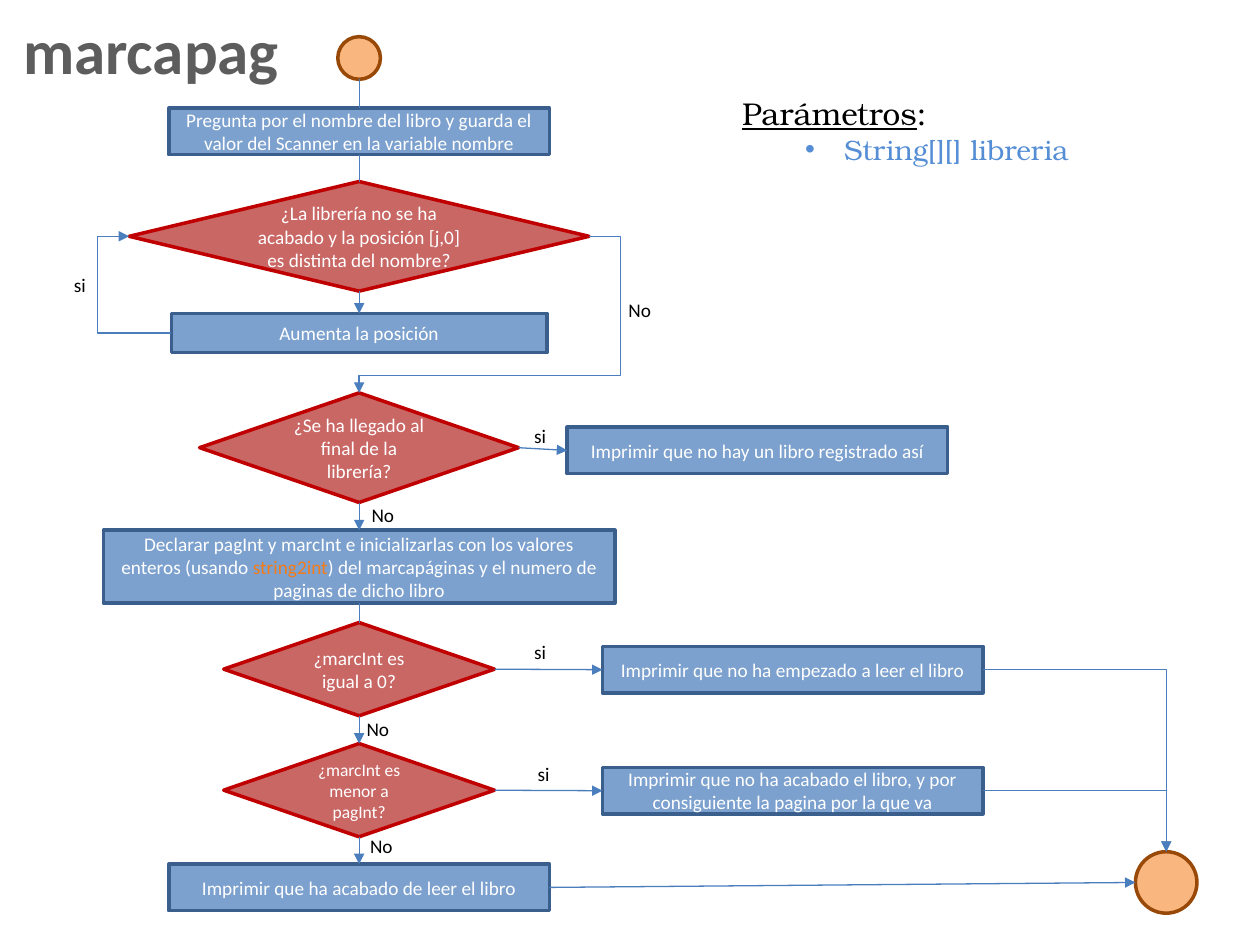
import pptx
import pptx.dml.color
import pptx.enum.shapes
import pptx.enum.text
import pptx.util
from lxml import etree
from pptx.oxml.ns import qn

Cm = pptx.util.Cm
Pt = pptx.util.Pt
Kind = pptx.enum.shapes.MSO_SHAPE
Wire = pptx.enum.shapes.MSO_CONNECTOR
Align = pptx.enum.text.PP_ALIGN
Anchor = pptx.enum.text.MSO_ANCHOR

STEP = (Kind.FLOWCHART_PROCESS, "7CA1CE", "3A5F8C")
TEST = (Kind.FLOWCHART_DECISION, "C96765", "C00000")
DOT = (Kind.FLOWCHART_CONNECTOR, "F9B67F", "984807")
TOP, LEFT, BOTTOM, RIGHT = range(4)


def tint(code):
    return pptx.dml.color.RGBColor.from_string(code)


def write(par, parts, size, face="Calibri"):
    """Fill a paragraph with (text, colour) parts."""
    for text, color in parts:
        run = par.add_run()
        run.text = text
        run.font.size = Pt(size)
        run.font.name = face
        run.font.color.rgb = tint(color)


def node(slide, style, mid, top, width, height, parts=(), size=11):
    """Draw a flow shape centred on mid."""
    kind, fill, edge = style
    shape = slide.shapes.add_shape(
        kind, Cm(mid - width / 2), Cm(top), Cm(width), Cm(height))
    shape.shadow.inherit = False
    shape.fill.solid()
    shape.fill.fore_color.rgb = tint(fill)
    shape.line.color.rgb = tint(edge)
    shape.line.width = Pt(2)
    frame = shape.text_frame
    frame.word_wrap = True
    frame.vertical_anchor = Anchor.MIDDLE
    par = frame.paragraphs[0]
    par.alignment = Align.CENTER
    if isinstance(parts, str):
        parts = [(parts, "FFFFFF")]
    write(par, parts, size)
    return shape


def spot(shape, side):
    """Return the middle of one side of a shape."""
    x = shape.left + {LEFT: 0, RIGHT: shape.width}.get(side, shape.width // 2)
    y = shape.top + {TOP: 0, BOTTOM: shape.height}.get(side, shape.height // 2)
    return x, y


def join(slide, start, out, end, into, arrow=True, bend=None, turns=()):
    """Link two shapes; bend is the elbow preset and turns its adjustments."""
    wire = slide.shapes.add_connector(
        Wire.ELBOW if bend else Wire.STRAIGHT,
        *spot(start, out), *spot(end, into))
    wire.line.color.rgb = tint("4B7EBC")
    wire.line.width = Pt(0.75)
    props = wire._element.spPr
    if bend:
        shape = props.find(qn("a:prstGeom"))
        shape.set("prst", bend)
        guides = shape.find(qn("a:avLst"))
        if guides is None:
            guides = etree.SubElement(shape, qn("a:avLst"))
        for i, turn in enumerate(turns, 1):
            etree.SubElement(guides, qn("a:gd"), name=f"adj{i}" if len(turns) > 1
                             else "adj1", fmla=f"val {turn}")
    elif DOT[0] not in (start.auto_shape_type, end.auto_shape_type):
        wire.begin_connect(start, out)
        wire.end_connect(end, into)
    if arrow:
        etree.SubElement(wire.line._get_or_add_ln(), qn("a:tailEnd"), type="triangle")
    etree.SubElement(props, qn("a:effectLst"))


def label(slide, text, left, top):
    box = slide.shapes.add_textbox(Cm(left), Cm(top), Cm(1.12), Cm(0.74))
    box.text_frame.word_wrap = True
    write(box.text_frame.paragraphs[0], [(text, "000000")], 11)


def heading(slide, left, top, width, height):
    title = slide.shapes.title
    title.left, title.top = Cm(left), Cm(top)
    title.width, title.height = Cm(width), Cm(height)
    frame = title.text_frame
    frame.vertical_anchor = Anchor.TOP
    par = frame.paragraphs[0]
    par.alignment = Align.CENTER
    write(par, [("marcapag", "5D5D5D")], 36)
    par.runs[0].font.bold = True


def params(slide, left, top, width, height):
    box = slide.shapes.add_textbox(Cm(left), Cm(top), Cm(width), Cm(height))
    frame = box.text_frame
    frame.word_wrap = False
    face = "TeX Gyre Bonum"
    head = frame.paragraphs[0]
    write(head, [("Parámetros", "000000"), (":", "000000")], 18, face)
    head.runs[0].font.underline = True
    item = frame.add_paragraph()
    item.level = 1
    props = item._p.get_or_add_pPr()
    props.set("marL", str(Cm(2.06)))
    props.set("indent", str(Cm(-0.79)))
    etree.SubElement(props, qn("a:buFont"), typeface="Arial")
    etree.SubElement(props, qn("a:buChar"), char="•")
    write(item, [("String[][] libreria", "558ED5")], 16, face)


def flow(slide, left, top):
    """Draw the flowchart with its corner at left, top."""
    def put(style, mid, y, *rest):
        return node(slide, style, left + mid, top + y, *rest)

    def link(*ends, **look):
        join(slide, *ends, **look)

    spine = 6
    wide = (7.67, 0.94)
    start = put(DOT, spine, 0, 0.86, 0.86)
    ask = put(STEP, spine, 1.44, *wide,
              "Pregunta por el nombre del libro y guarda el valor del Scanner "
              "en la variable nombre")
    loop = put(TEST, spine, 2.92, 9.27, 2.21,
               "¿La librería no se ha acabado y la posición [j,0] es distinta "
               "del nombre?")
    step = put(STEP, spine, 5.58, 7.57, 0.79, "Aumenta la posición")
    last = put(TEST, spine, 7.18, 6.43, 2.21,
               "¿Se ha llegado al final de la librería?")
    none = put(STEP, 14.03, 7.87, *wide,
               "Imprimir que no hay un libro registrado así")
    parse_int = put(STEP, spine, 9.95, 10.31, 1.47, [
        ("Declarar pagInt y marcInt e inicializarlas con los valores enteros "
         "(usando ", "FFFFFF"),
        ("string2int", "F57B17"),
        (") del marcapáginas y el numero de paginas de dicho libro", "FFFFFF")])
    zero = put(TEST, spine, 11.81, 5.46, 1.88, "¿marcInt es igual a 0?")
    fresh = put(STEP, 14.74, 12.29, *wide,
                "Imprimir que no ha empezado a leer el libro")
    less = put(TEST, spine, 14.25, 5.46, 1.88, "¿marcInt es menor a pagInt?", 10)
    partial = put(STEP, 14.74, 14.73, *wide,
                  "Imprimir que no ha acabado el libro, y por consiguiente la "
                  "pagina por la que va")
    done = put(STEP, spine, 16.68, *wide,
               "Imprimir que ha acabado de leer el libro")
    finish = put(DOT, 22.27, 16.43, 1.24, 1.24)

    for a, b in ((start, ask), (ask, loop), (parse_int, zero)):
        link(a, BOTTOM, b, TOP, arrow=False)
    for a, b in ((loop, step), (last, parse_int), (zero, less), (less, done)):
        link(a, BOTTOM, b, TOP)
    for a, b in ((last, none), (zero, fresh), (less, partial)):
        link(a, RIGHT, b, LEFT)
    link(done, RIGHT, finish, LEFT)
    link(step, LEFT, loop, LEFT, bend="bentConnector3", turns=[174800])
    link(loop, RIGHT, last, TOP, bend="bentConnector4", turns=[-13700, 89000])
    for box in (fresh, partial):
        link(box, RIGHT, finish, TOP, bend="bentConnector2")

    for text, x, y in (("si", 0, 4.64), ("No", 11.18, 5.15),
                       ("si", 9.28, 7.69), ("No", 6, 9.29),
                       ("si", 9.28, 12.04), ("No", 5.9, 13.59),
                       ("si", 9.35, 14.5), ("No", 5.97, 15.95)):
        label(slide, text, left + x, top + y)


def main():
    deck = pptx.Presentation()
    deck.slide_width, deck.slide_height = Cm(25.4), Cm(19.05)
    slide = deck.slides.add_slide(deck.slide_layouts.get_by_name("Title Only"))
    heading(slide, -0.28, 0.1, 6.65, 1.8)
    params(slide, 14.71, 1.78, 7.14, 1.7)
    flow(slide, 1.24, 0.74)
    deck.save("out.pptx")


if __name__ == "__main__":
    main()
